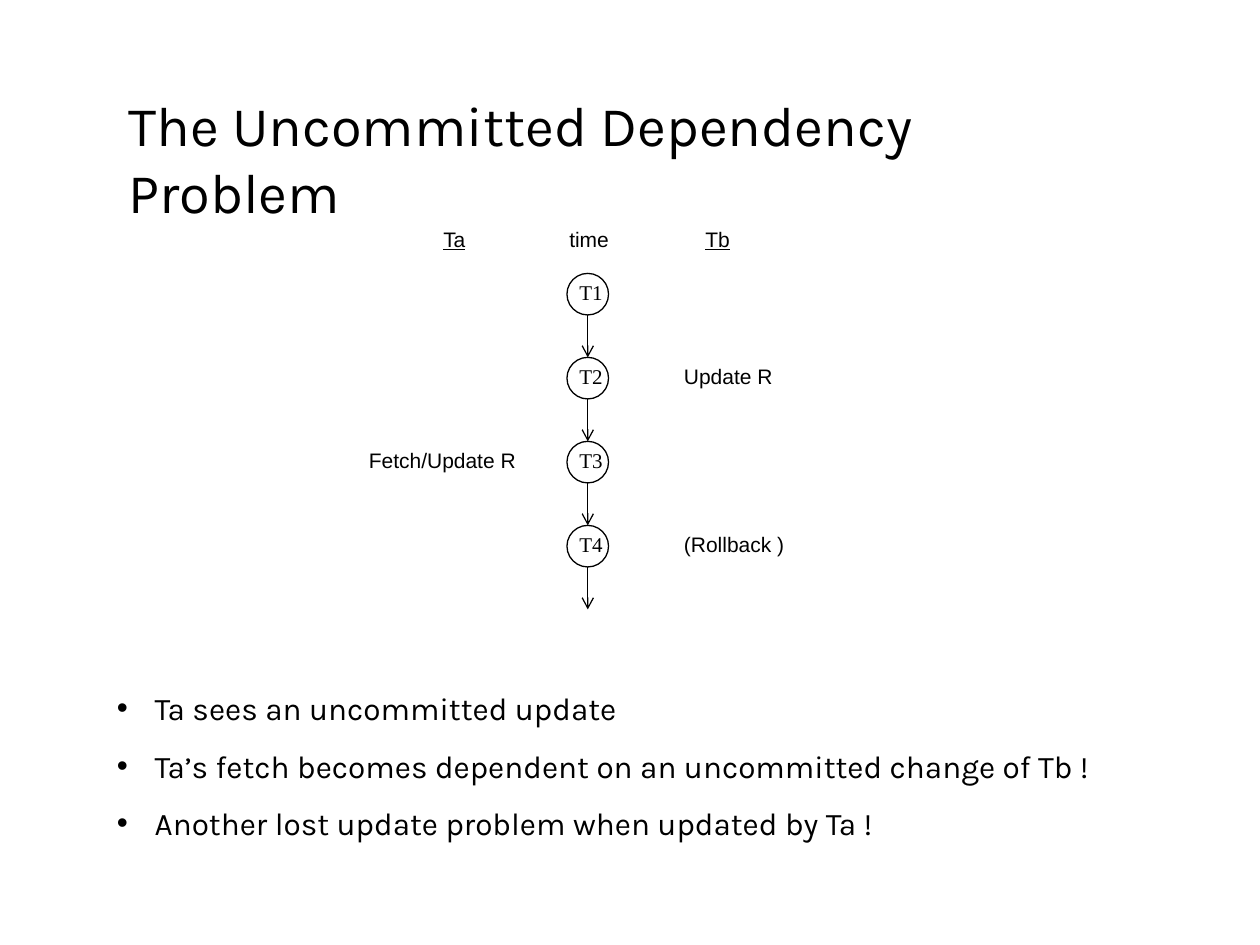
"""Build the slide on the uncommitted dependency problem with its timeline."""
from lxml.etree import SubElement
from pptx import Presentation
from pptx.dml.color import RGBColor as Rgb
from pptx.enum.shapes import MSO_CONNECTOR as Connector, MSO_SHAPE as Shape
from pptx.oxml.ns import qn
from pptx.util import Inches, Pt

COLORS = {"ink": "000000", "page": "FFFFFF"}
STYLES = {
    "title": {"name": "Karla", "size": Pt(32)},
    "point": {"name": "Karla", "size": Pt(18)},
    "step": {"name": "Times New Roman", "size": Pt(12)},
    "label": {"name": "Arial", "size": Pt(12)},
    "heading": {"name": "Arial", "size": Pt(12), "underline": True},
}
TITLE = "The Uncommitted Dependency Problem"
HEADINGS = [
    ("Ta", 3.42, 0.5, "heading"),
    ("time", 4.42, 0.67, "label"),
    ("Tb", 5.5, 0.5, "heading"),
]
STEPS = ["T1", "T2", "T3", "T4"]
EVENTS = [
    ("Update R", "T2", 5.33, 1.17),
    ("Fetch/Update R", "T3", 2.83, 1.5),
    ("(Rollback )", "T4", 5.33, 1),
]
POINTS = [
    "Ta sees an uncommitted update",
    "Ta’s fetch becomes dependent on an uncommitted change of Tb !",
    "Another lost update problem when updated by Ta !",
]
STEP_LEFT, STEP_TOP, DIAMETER = 4.5, 2.17, 0.33
PITCH = 2 / 3
HEADING_TOP, LABEL_HEIGHT = 1.75, 0.3
BULLET_INDENT = 0.3


def color(name):
    return Rgb.from_string(COLORS[name])


def add_bullet(para):
    props = para._p.get_or_add_pPr()
    props.set("marL", str(Inches(BULLET_INDENT)))
    props.set("indent", str(-Inches(BULLET_INDENT)))
    SubElement(props, qn("a:buFont"), typeface="Arial")
    SubElement(props, qn("a:buChar"), char="•")


def add_text(page, lines, place, style, bulleted=False):
    box = page.shapes.add_textbox(*map(Inches, place))
    frame = box.text_frame
    frame.word_wrap = True
    for index, line in enumerate(lines):
        para = frame.add_paragraph() if index else frame.paragraphs[0]
        if bulleted:
            add_bullet(para)
        if index:
            para.space_before = Pt(11.2)
        span = para.add_run()
        span.text = line
        for key, value in STYLES[style].items():
            setattr(span.font, key, value)
        span.font.color.rgb = color("ink")


def outline(shape):
    shape.line.color.rgb = color("ink")
    shape.line.width = Pt(0.75)


def add_circle(page, top):
    circle = page.shapes.add_shape(
        Shape.OVAL, *map(Inches, (STEP_LEFT, top, DIAMETER, DIAMETER)))
    circle.shadow.inherit = False
    circle.fill.background()
    outline(circle)


def add_arrow(page, x, top, bottom):
    arrow = page.shapes.add_connector(
        Connector.STRAIGHT, *map(Inches, (x, top, x, bottom)))
    outline(arrow)
    SubElement(arrow.line._get_or_add_ln(), qn("a:tailEnd"), type="arrow")
    SubElement(arrow._element.spPr, qn("a:effectLst"))


def main():
    deck = Presentation()
    deck.slide_width, deck.slide_height = Inches(10), Inches(7.5)
    page = deck.slides.add_slide(deck.slide_layouts[6])
    page.background.fill.solid()
    page.background.fill.fore_color.rgb = color("page")

    add_text(page, [TITLE], (0.92, 0.67, 8.08, 1.17), "title")
    tops = {step: STEP_TOP + index * PITCH for index, step in enumerate(STEPS)}
    for step, top in tops.items():
        add_circle(page, top)
        add_text(page, [step], (STEP_LEFT, top, 0.42, LABEL_HEIGHT), "step")
    for top in tops.values():
        add_arrow(page, STEP_LEFT + DIAMETER / 2, top + DIAMETER, top + PITCH)
    for text, left, width, style in HEADINGS:
        add_text(page, [text], (left, HEADING_TOP, width, LABEL_HEIGHT), style)
    for text, step, left, width in EVENTS:
        add_text(page, [text], (left, tops[step], width, LABEL_HEIGHT), "label")
    add_text(page, POINTS, (0.83, 5.42, 8.17, 1.32), "point", bulleted=True)
    deck.save("out.pptx")


if __name__ == "__main__":
    main()
